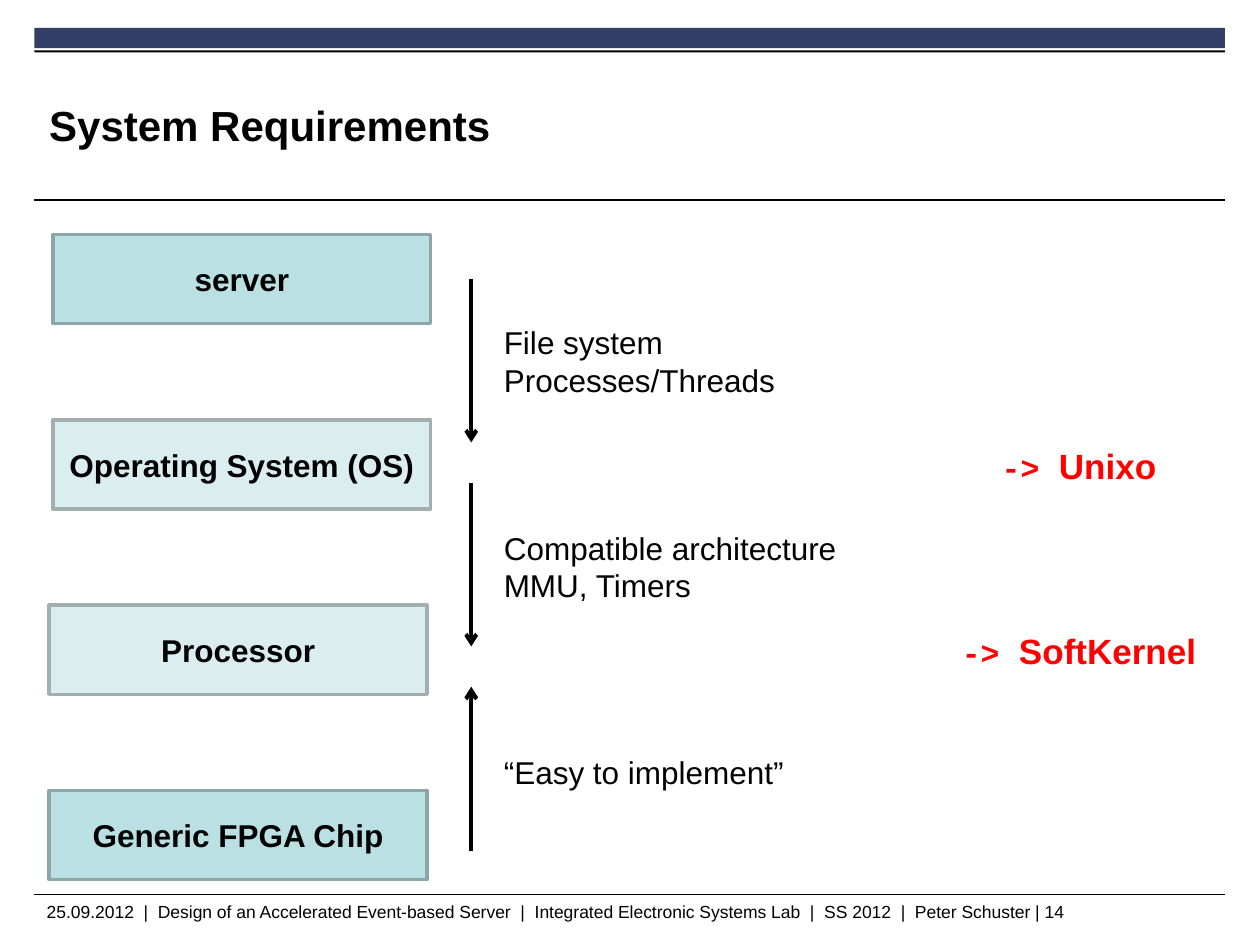
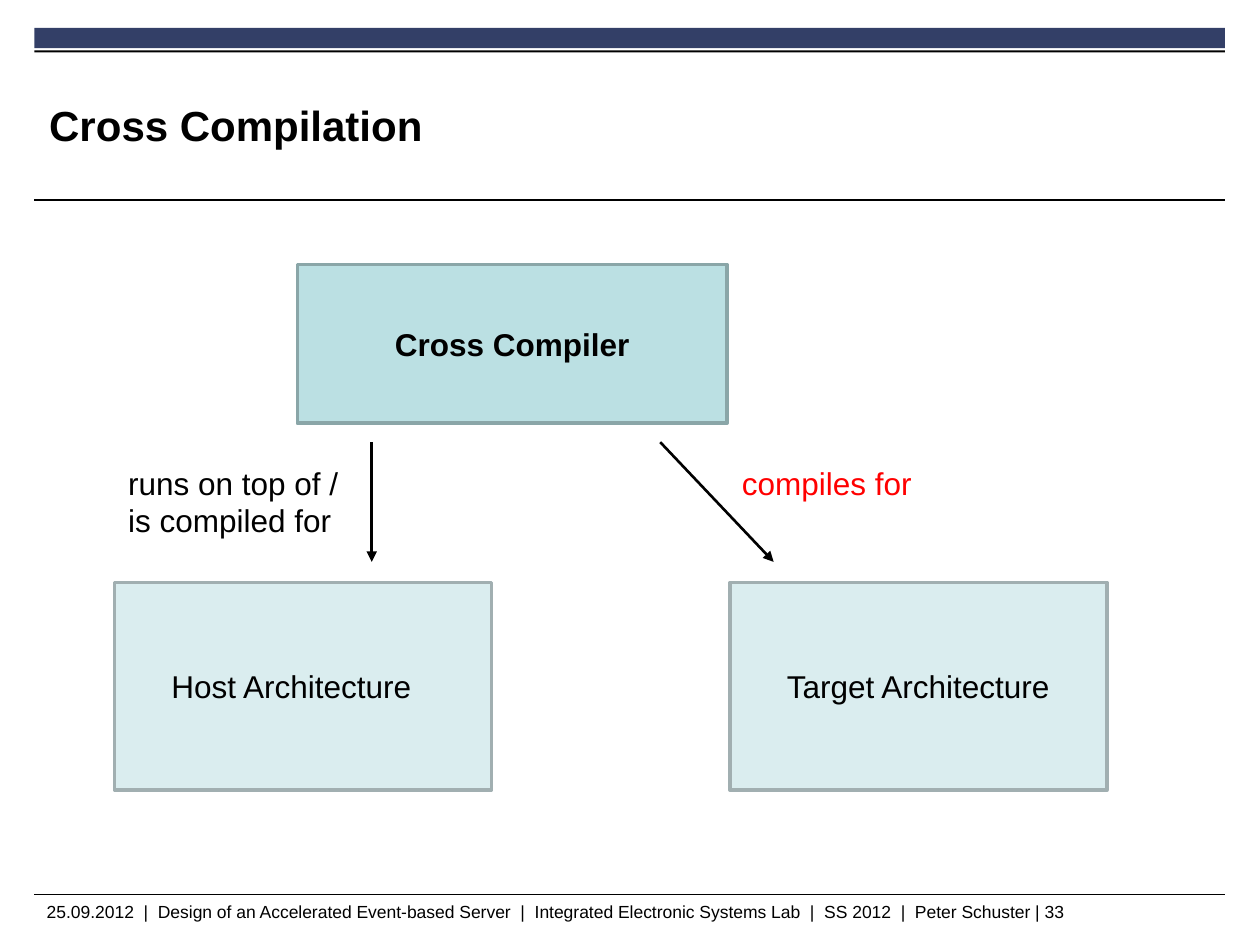
from lxml.etree import SubElement
from pptx import Presentation
from pptx.dml.color import RGBColor
from pptx.enum.shapes import MSO_CONNECTOR as Link, MSO_SHAPE as Shape
from pptx.enum.text import MSO_ANCHOR as Anchor, PP_ALIGN as Align
from pptx.oxml.ns import qn
from pptx.util import Pt

BLACK = RGBColor(0x00, 0x00, 0x00)
RED = RGBColor(0xFF, 0x00, 0x00)
NAVY = RGBColor(0x33, 0x3F, 0x67)
TEAL = RGBColor(0xBB, 0xE0, 0xE3)
PALE = RGBColor(0xDA, 0xED, 0xEF)
TEAL_EDGE = RGBColor(0x8A, 0xA6, 0xA8)
PALE_EDGE = RGBColor(0xA1, 0xAF, 0xB1)
STRONG = (TEAL, TEAL_EDGE)
SOFT = (PALE, PALE_EDGE)

PAGE = (19.6, 16, 680.4, 513)
STACK = (28.1, 134, 665, 369)
FORK = (65.5, 151.2, 567, 300.4)
FOOTER = "  |  ".join([
    "25.09.2012", "Design of an Accelerated Event-based Server",
    "Integrated Electronic Systems Lab", "SS 2012", "Peter Schuster"])


def style(run, size, color=BLACK, bold=False, font="Arial"):
    """Format one run."""
    run.font.name = font
    run.font.size = Pt(size)
    run.font.bold = bold
    run.font.color.rgb = color


def write(frame, text, size=18, color=BLACK, bold=False,
          align=Align.LEFT, anchor=Anchor.MIDDLE):
    """Fill a text frame and format every run in it."""
    frame.text = text
    frame.word_wrap = True
    frame.vertical_anchor = anchor
    for para in frame.paragraphs:
        para.alignment = align
        for run in para.runs:
            style(run, size, color, bold)


def label(slide, box, text, **look):
    """Add a text box."""
    frame = slide.shapes.add_textbox(*map(Pt, box)).text_frame
    write(frame, text, **look)
    return frame


def block(slide, box, fill, edge=None):
    """Add a flat rectangle, outlined when an edge colour is given."""
    rect = slide.shapes.add_shape(Shape.RECTANGLE, *map(Pt, box))
    rect.shadow.inherit = False
    rect.fill.solid()
    rect.fill.fore_color.rgb = fill
    if edge is None:
        rect.line.fill.background()
    else:
        rect.line.color.rgb = edge
        rect.line.width = Pt(2)
    return rect


def line(slide, start, end, width, head=None):
    """Draw a straight black line with an optional arrowhead at its end."""
    link = slide.shapes.add_connector(
        Link.STRAIGHT, *map(Pt, (*start, *end)))
    link.line.color.rgb = BLACK
    link.line.width = Pt(width)
    if head:
        SubElement(link.line._get_or_add_ln(), qn("a:tailEnd"), type=head)
    SubElement(link._element.spPr, qn("a:effectLst"))


def base(deck, box, title, number):
    """Add a slide with its bands, rules, title and footer."""
    left, top, width, height = box
    slide = deck.slides.add_slide(deck.slide_layouts[5])
    block(slide, (left, top, width, 11.5), NAVY)
    block(slide, (left, top + 12.8, width, 1.2), BLACK)
    for y in (top + 98.3, top + 495.2):
        line(slide, (left, y), (left + width, y), 0.6)
    label(slide, (left, top + 495.2, 649, 18), f"{FOOTER} | {number}",
          size=10, anchor=Anchor.TOP)
    head = slide.shapes.title
    head.left, head.top, head.width, head.height = map(
        Pt, (left + 8.5, top + 22.2, 541.5, 66.2))
    frame = head.text_frame
    write(frame, title, size=24, bold=True)
    frame.margin_left = frame.margin_right = 0
    frame.margin_top = frame.margin_bottom = 0
    return slide


def stack(slide, box):
    """Draw the layers, the needs between them and the choices made."""
    left, top, width, height = box
    tall, pitch = 51, 105.9
    layers = [
        ("server", STRONG, 2.1, None),
        ("Operating System (OS)", SOFT, 2.1, "Unixo"),
        ("Processor", SOFT, 0, "SoftKernel"),
        ("Generic FPGA Chip", STRONG, 0, None)]
    for row, (name, look, shift, choice) in enumerate(layers):
        y = top + row * pitch
        rect = block(slide, (left + shift, y, 216, tall), *look)
        write(rect.text_frame, name, bold=True, align=Align.CENTER)
        if choice:
            spot = (left + width - 160, y + 0.5, 167, tall)
            frame = label(slide, spot, "->", color=RED, bold=True,
                          align=Align.CENTER)
            para = frame.paragraphs[0]
            para.runs[0].font.name = "Courier New"
            run = para.add_run()
            run.text = f"  {choice}"
            style(run, 20, RED, True)

    needs = [
        ("File system\nProcesses/Threads", False),
        ("Compatible architecture\nMMU, Timers", False),
        ("“Easy to implement”", True)]
    x = left + 241.2
    for row, (need, up) in enumerate(needs):
        y = top + 25.2 + row * 116.6
        ends = [(x, y), (x, y + 93.6)]
        if up:
            ends.reverse()
        line(slide, *ends, 2.25, "arrow")
        label(slide, (x + 11.5, top + 46.5 + row * 117.6, 220, tall), need)


def fork(slide, box):
    """Draw the compiler above its two architectures."""
    left, top, width, height = box
    rect = block(slide, (left + 104.4, top, 245.5, 90.7), *STRONG)
    write(rect.text_frame, "Cross Compiler", bold=True, align=Align.CENTER)

    wide, tall = 215.3, 118.8
    names = ["Host Architecture", "Target Architecture"]
    for name, x in zip(names, (left, left + width - wide)):
        rect = block(slide, (x, top + height - tall, wide, tall), *SOFT)
        write(rect.text_frame, name)
        rect.text_frame.margin_left = Pt(32.4)

    links = [
        (146.9, 146.9, 0.7, "runs on top of / \nis compiled for", BLACK),
        (311.8, 376.6, 351.4, "compiles for", RED)]
    for start, end, x, text, color in links:
        line(slide, (left + start, top + 101.5),
             (left + end, top + 169.9), 1.5, "triangle")
        label(slide, (left + x, top + 110.2, 144, 51), text,
              color=color, anchor=Anchor.TOP)


def main():
    """Build both slides and save the deck."""
    deck = Presentation()
    deck.slide_width, deck.slide_height = Pt(720), Pt(540)
    stack(base(deck, PAGE, "System Requirements", 14), STACK)
    fork(base(deck, PAGE, "Cross Compilation", 33), FORK)
    deck.save("out.pptx")


if __name__ == "__main__":
    main()
